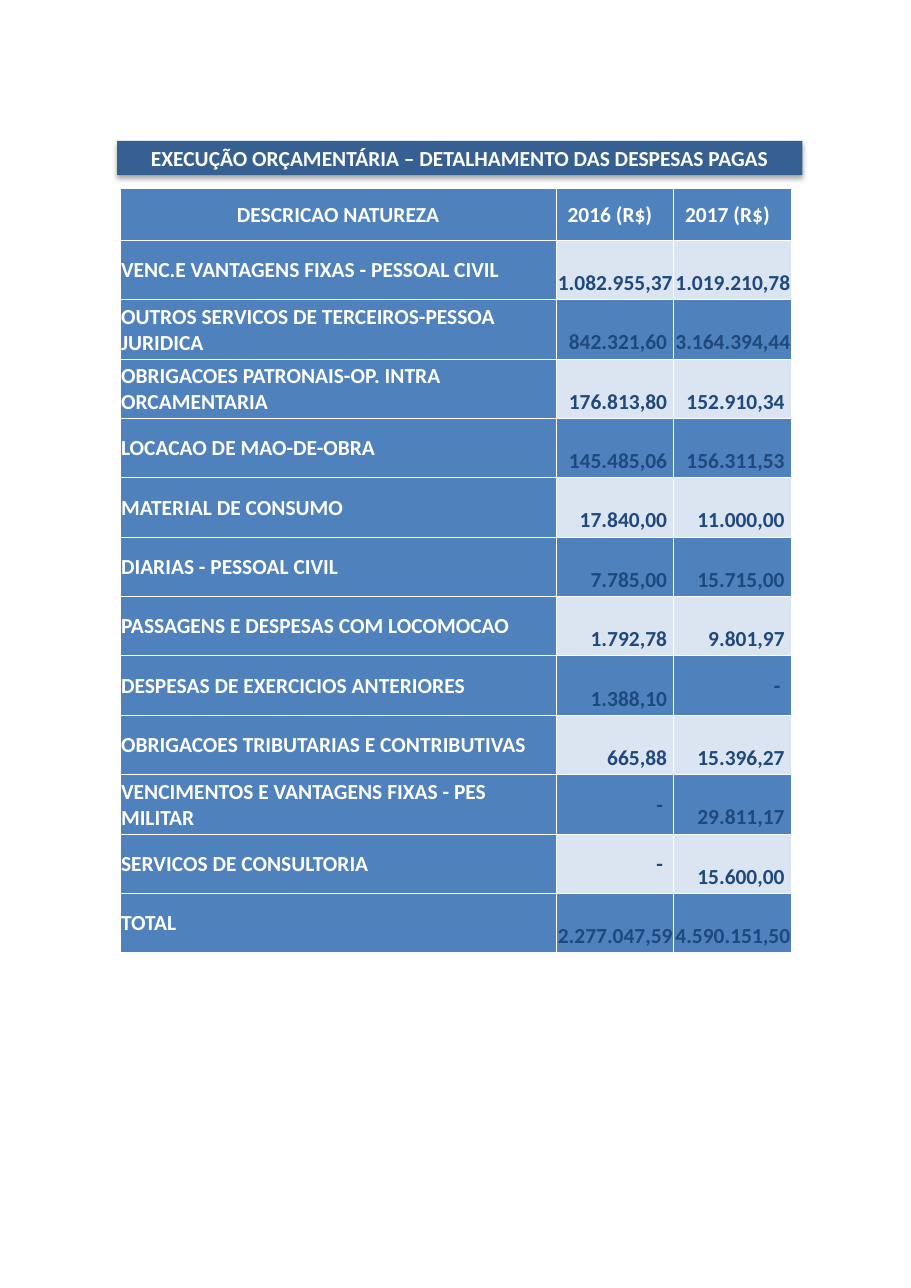
from lxml.etree import SubElement
from pptx import Presentation
from pptx.dml.color import RGBColor
from pptx.enum.shapes import MSO_SHAPE as Shape
from pptx.enum.text import MSO_ANCHOR as Anchor, PP_ALIGN as Align
from pptx.oxml.ns import qn
from pptx.util import Cm, Pt

COLORS = {
    "banner": "376092",
    "blue": "4F81BD",
    "band": "DBE5F1",
    "amount": "1F497D",
    "white": "FFFFFF",
    "shadow": "000000",
}
FONT = {"name": "Calibri", "size": Pt(14), "bold": True}

TITLE = "EXECUÇÃO ORÇAMENTÁRIA – DETALHAMENTO DAS DESPESAS PAGAS"
HEADINGS = ("DESCRICAO NATUREZA", "2016 (R$)", "2017 (R$)")
EXPENSES = [
    ("VENC.E VANTAGENS FIXAS - PESSOAL CIVIL", "1.082.955,37", "1.019.210,78"),
    ("OUTROS SERVICOS DE TERCEIROS-PESSOA JURIDICA", "842.321,60", "3.164.394,44"),
    ("OBRIGACOES PATRONAIS-OP. INTRA ORCAMENTARIA", "176.813,80", "152.910,34"),
    ("LOCACAO DE MAO-DE-OBRA", "145.485,06", "156.311,53"),
    ("MATERIAL DE CONSUMO", "17.840,00", "11.000,00"),
    ("DIARIAS - PESSOAL CIVIL", "7.785,00", "15.715,00"),
    ("PASSAGENS E DESPESAS COM LOCOMOCAO", "1.792,78", "9.801,97"),
    ("DESPESAS DE EXERCICIOS ANTERIORES", "1.388,10", "-"),
    ("OBRIGACOES TRIBUTARIAS E CONTRIBUTIVAS", "665,88", "15.396,27"),
    ("VENCIMENTOS E VANTAGENS FIXAS - PES MILITAR", "-", "29.811,17"),
    ("SERVICOS DE CONSULTORIA", "-", "15.600,00"),
    ("TOTAL", "2.277.047,59", "4.590.151,50"),
]
INSET = 0.02


def rgb(name):
    return RGBColor.from_string(COLORS[name])


def apply(target, values):
    for key, value in values.items():
        setattr(target, key, value)


def add_color(parent, name):
    fill = SubElement(parent, qn("a:solidFill"))
    return SubElement(fill, qn("a:srgbClr"), val=COLORS[name])


def write(frame, text, color, align):
    paragraph = frame.paragraphs[0]
    paragraph.text = text
    paragraph.alignment = align
    apply(paragraph.runs[0].font, FONT)
    paragraph.runs[0].font.color.rgb = rgb(color)


def add_banner(slide, left, top, width, height):
    banner = slide.shapes.add_shape(
        Shape.RECTANGLE, Cm(left), Cm(top), Cm(width), Cm(height))
    banner.fill.solid()
    banner.fill.fore_color.rgb = rgb("banner")
    banner.line.fill.background()
    banner.text_frame.vertical_anchor = Anchor.MIDDLE
    write(banner.text_frame, TITLE, "white", Align.CENTER)
    # Soft shadow falling straight down
    effects = SubElement(banner._element.spPr, qn("a:effectLst"))
    shadow = SubElement(
        effects, qn("a:outerShdw"), blurRad=str(Pt(3.5)), dist=str(Pt(2.2)),
        dir="5400000", rotWithShape="0")
    shade = SubElement(shadow, qn("a:srgbClr"), val=COLORS["shadow"])
    SubElement(shade, qn("a:alpha"), val="32000")


def add_borders(cell):
    properties = cell._tc.get_or_add_tcPr()
    for side in ("lnL", "lnR", "lnT", "lnB"):
        add_color(SubElement(properties, qn(f"a:{side}"), w=str(Pt(0.5))), "white")


def cell_format(row, column, text):
    """Return fill, text colour, alignment, anchor, right and bottom margin."""
    if row == 0:
        right = 0.25 if column else INSET
        return "blue", "white", Align.CENTER, Anchor.MIDDLE, right, 0
    if column == 0:
        return "blue", "white", Align.LEFT, Anchor.MIDDLE, INSET, 0
    fill = "band" if row % 2 else "blue"
    if text == "-":
        return fill, "amount", Align.RIGHT, Anchor.MIDDLE, 0.25, 0
    # Amounts in millions need the full column width
    right = INSET if text.count(".") == 2 else 0.15
    return fill, "amount", Align.RIGHT, Anchor.BOTTOM, right, 0.08


def add_expense_table(slide, left, top, width, height):
    rows = [HEADINGS] + EXPENSES
    amount_width, header_height = 2.71, 1.19
    row_height = (height - header_height) / len(EXPENSES)
    table = slide.shapes.add_table(
        len(rows), len(HEADINGS), Cm(left), Cm(top), Cm(width), Cm(height)).table
    table.horz_banding = False

    # Column widths and row heights
    for column, size in zip(
            table.columns, (width - 2 * amount_width, amount_width, amount_width)):
        column.width = Cm(size)
    for index, row in enumerate(table.rows):
        row.height = Cm(row_height if index else header_height)

    # Cells
    for r, values in enumerate(rows):
        for c, text in enumerate(values):
            cell = table.cell(r, c)
            fill, color, align, anchor, right, bottom = cell_format(r, c, text)
            apply(cell, {
                "vertical_anchor": anchor,
                "margin_left": Cm(INSET),
                "margin_top": Cm(INSET),
                "margin_right": Cm(right),
                "margin_bottom": Cm(bottom),
            })
            add_borders(cell)
            cell.fill.solid()
            cell.fill.fore_color.rgb = rgb(fill)
            write(cell.text_frame, text, color, align)


def main():
    deck = Presentation()
    deck.slide_width, deck.slide_height = Cm(21), Cm(29.7)
    slide = deck.slides.add_slide(deck.slide_layouts[6])
    add_banner(slide, 2.7, 3.25, 15.8, 0.79)
    add_expense_table(slide, 2.77, 4.35, 15.47, 17.63)
    deck.save("out.pptx")


if __name__ == "__main__":
    main()
